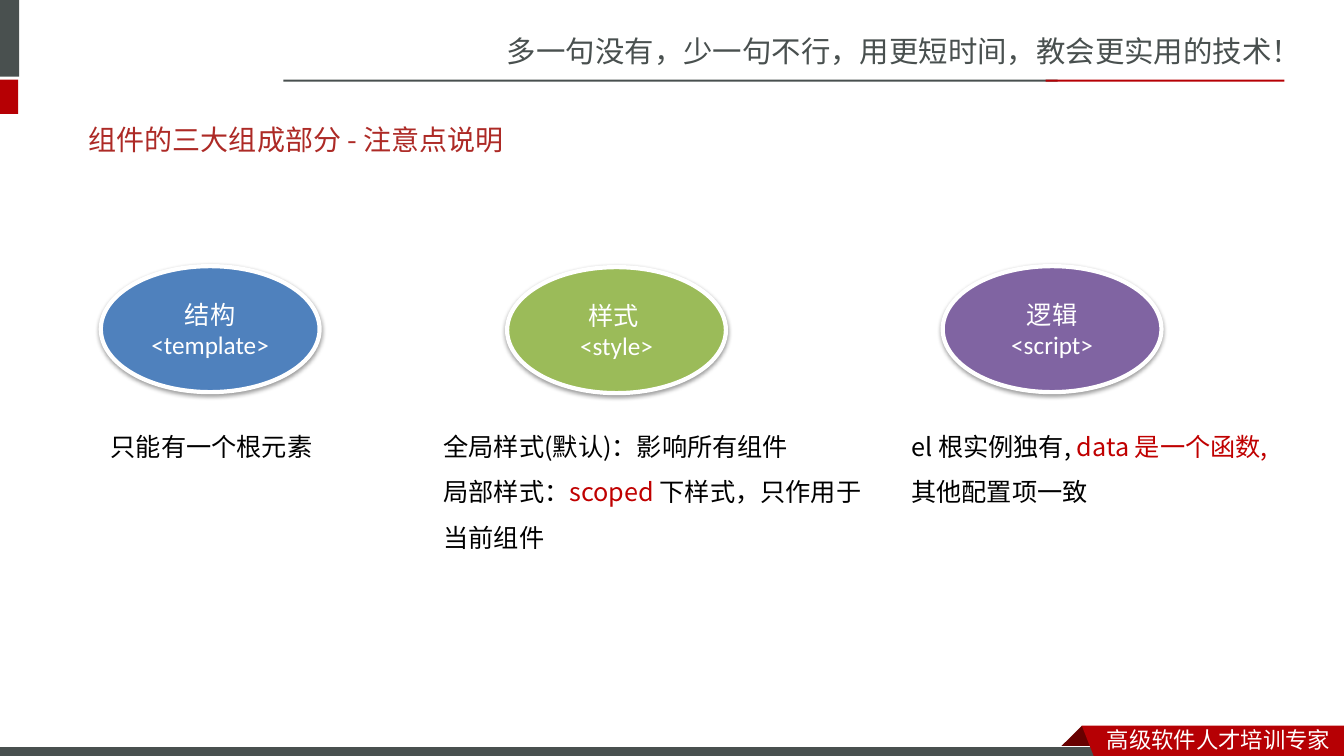
import dataclasses
import lxml.etree
import pptx
import pptx.dml.color
import pptx.enum.shapes
import pptx.enum.text
import pptx.oxml.ns
import pptx.util

Inches = pptx.util.Inches
Pt = pptx.util.Pt
Kind = pptx.enum.shapes.MSO_SHAPE
Align = pptx.enum.text.PP_ALIGN
Fit = pptx.enum.text.MSO_AUTO_SIZE
Anchor = pptx.enum.text.MSO_ANCHOR
qn = pptx.oxml.ns.qn


@dataclasses.dataclass
class Theme:
    gray: str = "49504F"
    red: str = "B60004"
    fold: str = "680000"
    head: str = "AD2A26"
    mark: str = "C00000"
    black: str = "000000"
    white: str = "FFFFFF"
    blue: str = "4F81BD"
    green: str = "9BBB59"
    purple: str = "8064A2"
    sans: str = "Noto Sans CJK SC"
    body: str = "Noto Sans CJK JP"
    latin: str = "Calibri"
    motto: int = 21
    title: int = 20
    text: int = 18
    foot: int = 16


class Deck:
    def __init__(self, theme):
        self.theme = theme
        self.file = pptx.Presentation()
        self.file.slide_width = Inches(13.33)
        self.file.slide_height = Inches(7.5)
        self.slide = self.file.slides.add_slide(self.file.slide_layouts[5])
        self.shapes = self.slide.shapes

    def color(self, code):
        return pptx.dml.color.RGBColor.from_string(code)

    def run(self, para, text, size, face, code):
        run = para.add_run()
        run.text = text
        run.font.size = Pt(size)
        run.font.name = face
        run.font.color.rgb = self.color(code)
        east = self.theme.sans if face == self.theme.latin else face
        props = run.font._element
        props.find(qn("a:latin")).addnext(
            lxml.etree.Element(qn("a:ea"), typeface=east))

    def paint(self, shape, fill, line=None, width=0.75):
        shape.shadow.inherit = False
        shape.fill.solid()
        shape.fill.fore_color.rgb = self.color(fill)
        if line:
            shape.line.color.rgb = self.color(line)
            shape.line.width = Pt(width)
        else:
            shape.line.fill.background()

    def shape(self, kind, box, fill, line=None, width=0.75):
        shape = self.shapes.add_shape(kind, *map(Inches, box))
        self.paint(shape, fill, line, width)
        return shape

    def free(self, points, fill):
        start, *rest = [(Inches(x), Inches(y)) for x, y in points]
        form = self.shapes.build_freeform(*start)
        form.add_line_segments(rest, close=True)
        self.paint(form.convert_to_shape(), fill)

    def text(self, box, paras, size, face, space=None):
        frame = self.shapes.add_textbox(*map(Inches, box)).text_frame
        frame.word_wrap = True
        frame.auto_size = Fit.SHAPE_TO_FIT_TEXT
        for i, runs in enumerate(paras):
            para = frame.add_paragraph() if i else frame.paragraphs[0]
            para.line_spacing = space
            for words, code in runs:
                self.run(para, words, size, face, code)

    def title(self, box, words):
        shape = self.shapes.title
        shape.left, shape.top, shape.width, shape.height = map(Inches, box)
        frame = shape.text_frame
        frame.word_wrap = True
        frame.auto_size = Fit.NONE
        frame.vertical_anchor = Anchor.MIDDLE
        para = frame.paragraphs[0]
        para.alignment = Align.LEFT
        self.run(para, words, self.theme.title, self.theme.body, self.theme.head)

    def shade(self, shape):
        effects = shape._element.spPr.find(qn("a:effectLst"))
        outer = lxml.etree.SubElement(
            effects, qn("a:outerShdw"), blurRad=str(Pt(3.1)),
            dist=str(Pt(1.6)), dir="5400000", rotWithShape="0")
        tint = lxml.etree.SubElement(
            outer, qn("a:srgbClr"), val=self.theme.black)
        lxml.etree.SubElement(tint, qn("a:alpha"), val="38000")

    def oval(self, left, top, lines, fill):
        theme = self.theme
        shape = self.shape(
            Kind.OVAL, (left, top, 2.17, 1.25), fill, theme.white, 3)
        self.shade(shape)
        frame = shape.text_frame
        frame.word_wrap = True
        frame.vertical_anchor = Anchor.MIDDLE
        para = frame.paragraphs[0]
        para.alignment = Align.CENTER
        for i, words in enumerate(lines):
            if i:
                para.add_line_break()
            self.run(para, words, theme.text, theme.latin, theme.white)


def main():
    theme = Theme()
    deck = Deck(theme)

    deck.text((4.93, 0.28, 8.41, 0.47),
              [[("多一句没有，少一句不行，用更短时间，教会更实用的技术！", theme.gray)]],
              theme.motto, theme.sans)
    for box, fill in (
        ((-0.06, 0, 0.25, 0.76), theme.gray),
        ((-0.06, 0.79, 0.24, 0.34), theme.red),
        ((2.81, 0.79, 7.68, 0.02), theme.gray),
        ((10.37, 0.79, 2.37, 0.02), theme.red),
    ):
        deck.shape(Kind.RECTANGLE, box, fill)

    deck.free([(10.73, 7.2), (10.95, 7.42), (10.94, 7.43),
               (10.52, 7.43), (10.51, 7.42)], theme.fold)
    deck.shape(Kind.RECTANGLE, (-0.01, 7.41, 11, 0.12), theme.gray, theme.white)
    deck.free([(10.73, 7.2), (13.33, 7.2), (13.33, 7.54), (10.86, 7.53)],
              theme.red)
    deck.text((10.88, 7.15, 2.45, 0.37),
              [[("高级软件人才培训专家", theme.white)]], theme.foot, theme.sans)

    deck.title((0.78, 1.1, 11.72, 0.57), "组件的三大组成部分 - 注意点说明")

    for left, top, lines, fill in (
        (9.35, 2.64, ["逻辑 <script>"], theme.purple),
        (1, 2.64, ["结构 <template>"], theme.blue),
        (5.03, 2.65, ["样式 ", "<style>"], theme.green),
    ):
        deck.oval(left, top, lines, fill)

    for left, width, height, paras in (
        (1, 2.47, 0.51, [[("只能有一个根元素", theme.black)]]),
        (4.3, 4.4, 1.42, [
            [("全局样式(默认)：影响所有组件", theme.black)],
            [("局部样式：", theme.black), ("scoped ", theme.mark),
             ("下样式，只作用于当前组件", theme.black)]]),
        (8.94, 4.12, 0.97, [
            [("el 根实例独有, ", theme.black), ("data 是一个函数,", theme.mark)],
            [("其他配置项一致", theme.black)]]),
    ):
        deck.text((left, 4.08, width, height), paras,
                  theme.text, theme.body, 1.5)

    deck.file.save("out.pptx")


if __name__ == "__main__":
    main()
